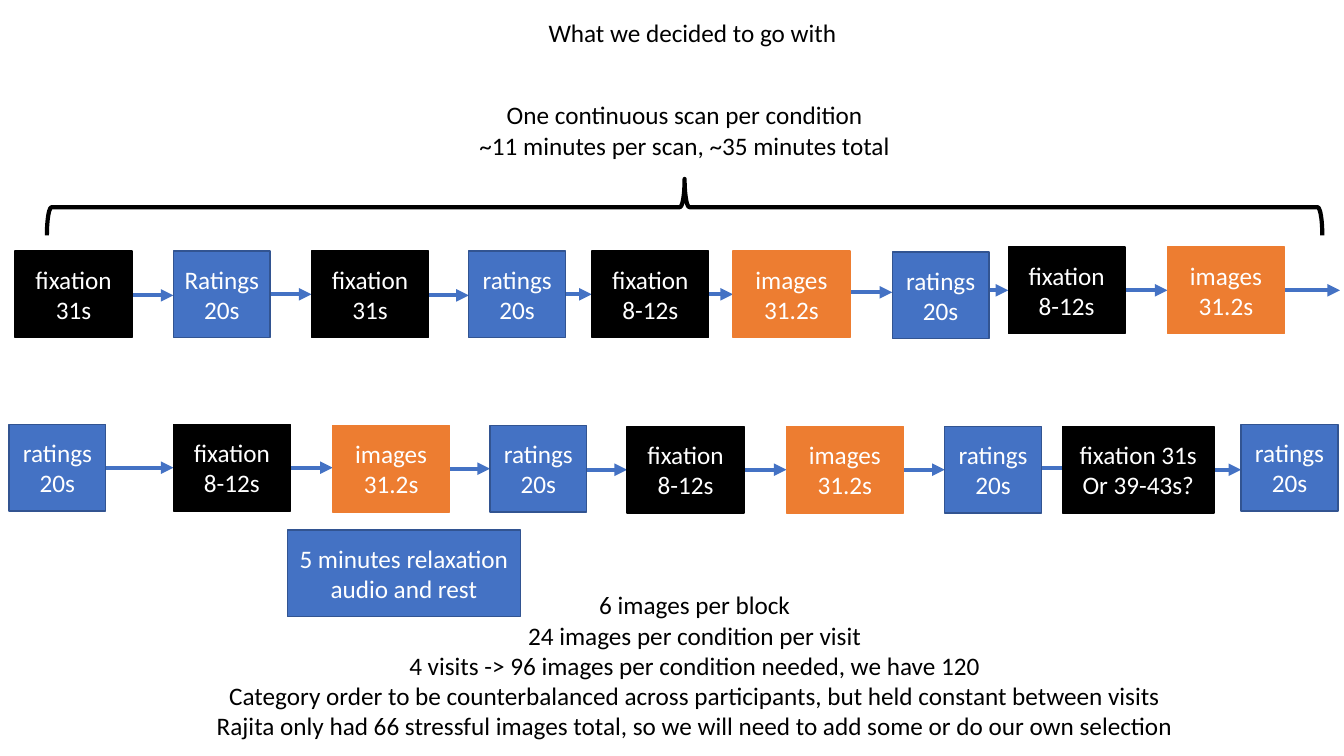
from dataclasses import dataclass

from lxml import etree
from pptx import Presentation
from pptx.dml.color import RGBColor
from pptx.enum.shapes import MSO_CONNECTOR, MSO_SHAPE
from pptx.enum.text import MSO_ANCHOR, PP_ALIGN
from pptx.oxml.ns import qn
from pptx.util import Inches, Pt

STRAIGHT = MSO_CONNECTOR.STRAIGHT
RECTANGLE, BRACE = MSO_SHAPE.RECTANGLE, MSO_SHAPE.RIGHT_BRACE
TOP, MIDDLE = MSO_ANCHOR.TOP, MSO_ANCHOR.MIDDLE
LEFT, CENTER = PP_ALIGN.LEFT, PP_ALIGN.CENTER

COLUMNS, ROWS = 1333, 750
CELL = Inches(0.01)


@dataclass(frozen=True)
class Theme:
    """Colours, font and sizes of the slide."""
    font: str = "Calibri"
    size: int = 18
    dark: str = "000000"
    light: str = "FFFFFF"
    arrow: str = "4472C4"
    rating: tuple = ("4472C4", "325491")
    fixation: tuple = ("000000", "000000")
    images: tuple = ("ED7D31", "ED7D31")
    thin: int = 1
    thick: int = 3


@dataclass(frozen=True)
class Box:
    """A region in grid columns and rows."""
    left: float
    top: float
    width: float
    height: float

    def within(self, left, top, width, height):
        """Return a box placed relative to this one."""
        return Box(self.left + left, self.top + top, width, height)

    def lengths(self):
        """Return the box as slide lengths."""
        return [round(part * CELL) for part in (self.left, self.top, self.width, self.height)]


@dataclass(frozen=True)
class Step:
    """A block of the scan and the arrow that leaves it."""
    kind: str
    lines: tuple
    left: float
    top: float
    arrow_row: float = 0
    width: float = 0
    tuck: float = 0
    overrun: float = 0

    def span(self):
        """Return the width in columns."""
        return self.width or (96 if self.kind == "rating" else 116)


THEME = Theme()
RATING = ("ratings", "20s")
LONG_FIXATION = ("fixation", "31s")
SHORT_FIXATION = ("fixation 8-12s",)
IMAGES = ("images", "31.2s")
STEP_HEIGHT = 86

FIRST_ROW = [
    Step("fixation", LONG_FIXATION, 15, 4, 48),
    Step("rating", ("Ratings", "20s"), 172, 4, 47),
    Step("fixation", LONG_FIXATION, 309, 4, 48),
    Step("rating", RATING, 465, 4, 47),
    Step("fixation", SHORT_FIXATION, 587, 4, 47),
    Step("images", IMAGES, 727, 4, 45),
    Step("rating", RATING, 885, 5, 43, tuck=21),
    Step("fixation", SHORT_FIXATION, 1000, 0, 43),
    Step("images", IMAGES, 1158, 0, 43, overrun=-4),
]
SECOND_ROW = [
    Step("rating", RATING, 9, 0, 43),
    Step("fixation", SHORT_FIXATION, 172, 0, 43),
    Step("images", IMAGES, 330, 1, 44),
    Step("rating", RATING, 486, 1, 45),
    Step("fixation", SHORT_FIXATION, 622, 2, 45),
    Step("images", IMAGES, 780, 2, 45),
    Step("rating", RATING, 937, 2, 43, overrun=19),
    Step("fixation", ("fixation 31s", "Or 39-43s?"), 1054, 2, 45, width=150),
    Step("rating", RATING, 1231, 0),
]
SCAN_NOTE = ("One continuous scan per condition", "~11 minutes per scan, ~35 minutes total")
IMAGE_NOTES = (
    "6 images per block",
    "24 images per condition per visit",
    "4 visits -> 96 images per condition needed, we have 120",
    "Category order to be counterbalanced across participants, but held constant between visits",
    "Rajita only had 66 stressful images total, so we will need to add some or do our own selection",
)


def write(frame, lines, color, anchor, align, wrap):
    """Fill a text frame with one paragraph per line."""
    frame.text = "\n".join(lines)
    frame.word_wrap = wrap
    frame.vertical_anchor = anchor
    for paragraph in frame.paragraphs:
        paragraph.alignment = align
        paragraph.font.name = THEME.font
        paragraph.font.size = Pt(THEME.size)
        paragraph.font.color.rgb = RGBColor.from_string(color)


def set_line(line, color, width):
    """Set the colour and width of a line."""
    line.color.rgb = RGBColor.from_string(color)
    line.width = Pt(width)


def add_title(slide, box, text):
    """Place the title in its box."""
    title = slide.shapes.title
    title.left, title.top, title.width, title.height = box.lengths()
    write(title.text_frame, (text,), THEME.dark, TOP, LEFT, False)


def add_note(slide, box, lines):
    """Add centred plain text."""
    note = slide.shapes.add_textbox(*box.lengths())
    write(note.text_frame, lines, THEME.dark, TOP, CENTER, False)


def add_brace(slide, box):
    """Add a brace across the box that points up."""
    middle, center = box.left + box.width / 2, box.top + box.height / 2
    upright = Box(middle - box.height / 2, center - box.width / 2, box.height, box.width)
    brace = slide.shapes.add_shape(BRACE, *upright.lengths())
    brace.rotation = 270
    brace.shadow.inherit = False
    brace.fill.background()
    set_line(brace.line, THEME.dark, THEME.thick)


def add_block(slide, box, kind, lines):
    """Add a filled rectangle in the colours of its kind."""
    fill, outline = getattr(THEME, kind)
    block = slide.shapes.add_shape(RECTANGLE, *box.lengths())
    block.shadow.inherit = False
    block.fill.solid()
    block.fill.fore_color.rgb = RGBColor.from_string(fill)
    set_line(block.line, outline, THEME.thin)
    write(block.text_frame, lines, THEME.light, MIDDLE, CENTER, True)


def add_arrow(slide, start, end, row):
    """Add a level arrow between two columns."""
    ends = [round(part * CELL) for part in (start, row, end, row)]
    arrow = slide.shapes.add_connector(STRAIGHT, *ends)
    set_line(arrow.line, THEME.arrow, THEME.thick)
    etree.SubElement(arrow.line._get_or_add_ln(), qn("a:tailEnd"), type="triangle")
    etree.SubElement(arrow._element.spPr, qn("a:effectLst"))


def add_sequence(slide, box, steps):
    """Add a row of steps, with arrows to the next step or the box edge."""
    ends = [step.left for step in steps[1:]] + [box.width]
    for step, end in zip(steps, ends):
        if step.arrow_row:
            start = step.left + step.span() - step.tuck
            add_arrow(slide, box.left + start, box.left + end + step.overrun,
                      box.top + step.arrow_row)
    for step in steps:
        place = box.within(step.left, step.top, step.span(), STEP_HEIGHT)
        add_block(slide, place, step.kind, step.lines)


def main():
    """Build and save the deck."""
    deck = Presentation()
    deck.slide_width, deck.slide_height = COLUMNS * CELL, ROWS * CELL
    slide = deck.slides.add_slide(deck.slide_layouts[5])
    add_title(slide, Box(534, 12, 309, 40), "What we decided to go with")
    add_note(slide, Box(463, 94, 432, 71), SCAN_NOTE)
    add_brace(slide, Box(46.5, 177.5, 1265, 56))
    add_sequence(slide, Box(0, 245, COLUMNS, 92), FIRST_ROW)
    add_sequence(slide, Box(0, 421, COLUMNS, 92), SECOND_ROW)
    add_block(slide, Box(285, 526, 231, STEP_HEIGHT), "rating",
              ("5 minutes relaxation audio and rest",))
    add_note(slide, Box(199, 580, 980, 160), IMAGE_NOTES)
    deck.save("out.pptx")


if __name__ == "__main__":
    main()
